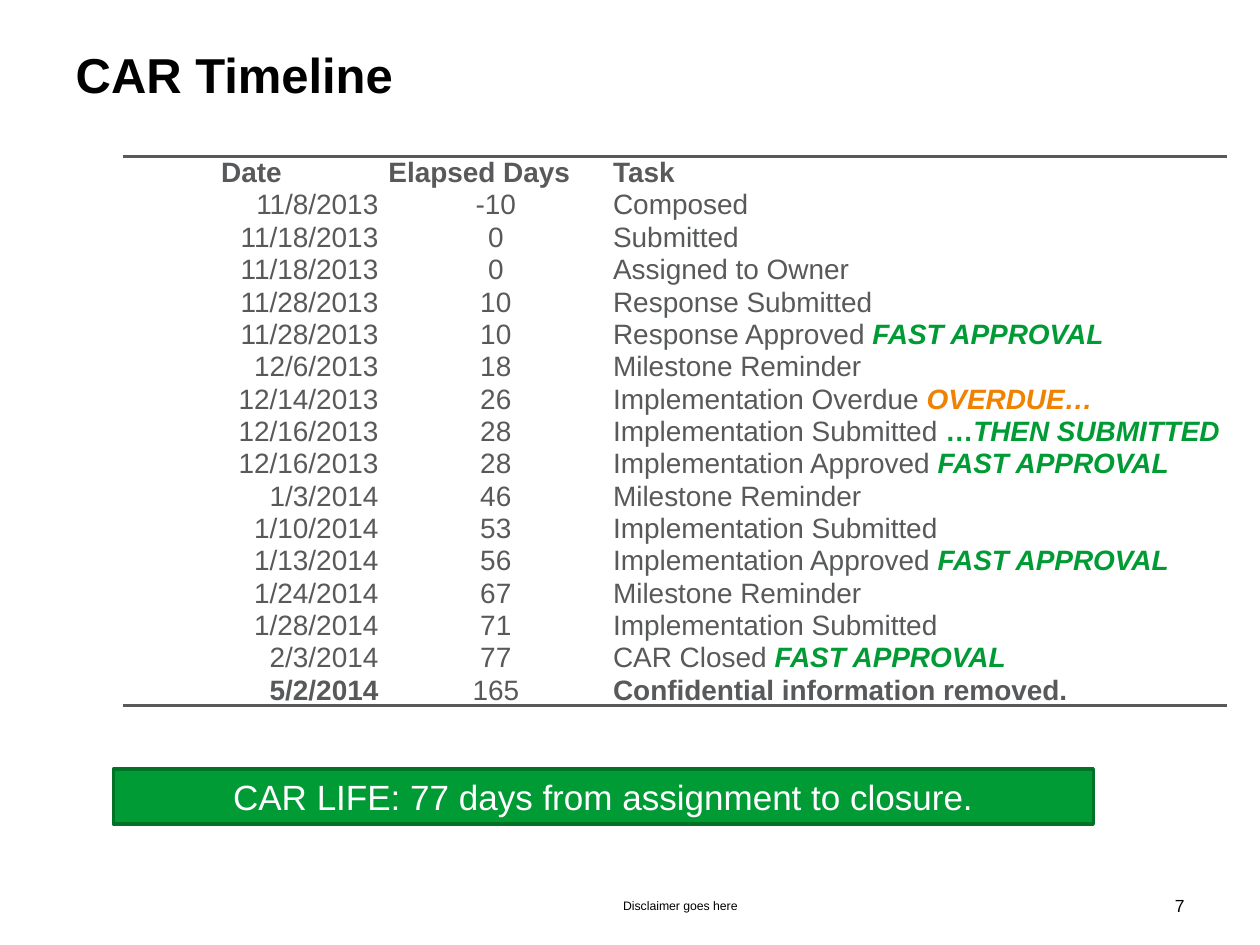
"""Build the CAR timeline slide."""
from dataclasses import dataclass

from lxml import etree
from pptx import Presentation, util as u
from pptx.dml import color as c
from pptx.enum import shapes, text as t
from pptx.oxml import ns


@dataclass(frozen=True)
class Theme:
    font: str = "Arial"
    black: str = "000000"
    white: str = "FFFFFF"
    gray: str = "58595B"
    green: str = "019B35"
    edge: str = "017327"
    orange: str = "EF8200"
    title: int = 28
    banner: int = 20
    body: int = 16
    page: int = 10
    note: int = 7


TH = Theme()
LEFT, MID, RIGHT = t.PP_ALIGN.LEFT, t.PP_ALIGN.CENTER, t.PP_ALIGN.RIGHT
NOSTYLE = "{2D5ABB26-0587-4C30-8999-92F81FD0307C}"
WIDTHS = (146.5, 132.8, 351.4)
FAST = (("FAST APPROVAL", TH.green, True),)
LATE = (("OVERDUE…", TH.orange, True),)
THEN = ((" …", TH.green, False), ("THEN SUBMITTED", TH.green, True))
ROWS = (
    ("11/8/2013", "-10", "Composed", ()),
    ("11/18/2013", "0", "Submitted", ()),
    ("11/18/2013", "0", "Assigned to Owner", ()),
    ("11/28/2013", "10", "Response Submitted", ()),
    ("11/28/2013", "10", "Response Approved ", FAST),
    ("12/6/2013", "18", "Milestone Reminder", ()),
    ("12/14/2013", "26", "Implementation Overdue ", LATE),
    ("12/16/2013", "28", "Implementation Submitted", THEN),
    ("12/16/2013", "28", "Implementation Approved ", FAST),
    ("1/3/2014", "46", "Milestone Reminder", ()),
    ("1/10/2014", "53", "Implementation Submitted", ()),
    ("1/13/2014", "56", "Implementation Approved ", FAST),
    ("1/24/2014", "67", "Milestone Reminder", ()),
    ("1/28/2014", "71", "Implementation Submitted", ()),
    ("2/3/2014", "77", "CAR Closed ", FAST),
    ("5/2/2014", "165", "Confidential information removed.", ()),
)


def rgb(code):
    return c.RGBColor.from_string(code)


def write(para, words, size=TH.body, color=TH.gray, bold=False, italic=False, align=LEFT):
    para.alignment = align
    run = para.add_run()
    run.text = words
    font = run.font
    font.name, font.size = TH.font, u.Pt(size)
    font.bold, font.italic = bold, italic
    font.color.rgb = rgb(color)


def label(slide, box, words, anchor=t.MSO_ANCHOR.MIDDLE, **form):
    frame = slide.shapes.add_textbox(*map(u.Pt, box)).text_frame
    frame.word_wrap = True
    frame.vertical_anchor = anchor
    write(frame.paragraphs[0], words, color=TH.black, **form)


def rule(cell, side):
    line = etree.Element(ns.qn(f"a:{side}"), w=str(u.Pt(2)))
    fill = etree.SubElement(line, ns.qn("a:solidFill"))
    etree.SubElement(fill, ns.qn("a:srgbClr"), val=TH.gray)
    cell._tc.get_or_add_tcPr().insert(0, line)


def style(cell):
    cell.margin_left = cell.margin_right = u.Pt(0.7)
    cell.margin_top, cell.margin_bottom = u.Pt(0.45), 0
    cell.vertical_anchor = t.MSO_ANCHOR.BOTTOM
    cell.fill.solid()
    cell.fill.fore_color.rgb = rgb(TH.white)
    para = cell.text_frame.paragraphs[0]
    para.line_spacing = 0.94
    return para


def timeline(slide):
    high = 15.4
    count = len(ROWS) + 1
    box = (70.4, 89.2, sum(WIDTHS), high * count)
    table = slide.shapes.add_table(count, 3, *map(u.Pt, box)).table
    table.first_row = table.horz_banding = False
    table._tbl.tblPr.find(ns.qn("a:tableStyleId")).text = NOSTYLE
    for col, wide in zip(table.columns, WIDTHS):
        col.width = u.Pt(wide)
    for row in table.rows:
        row.height = u.Pt(high)

    heads = ("Date", " Elapsed Days", "Task")
    for col, (words, align) in enumerate(zip(heads, (MID, LEFT, LEFT))):
        cell = table.cell(0, col)
        write(style(cell), words, bold=True, align=align)
        rule(cell, "lnT")

    for row, (*words, notes) in enumerate(ROWS, 1):
        last = row == len(ROWS)
        for col, align in enumerate((RIGHT, MID, LEFT)):
            cell = table.cell(row, col)
            para = style(cell)
            write(para, words[col], bold=last and col != 1, align=align)
            if last:
                rule(cell, "lnB")
        for note, color, italic in notes:
            write(para, note, color=color, bold=True, italic=italic)


def banner(slide, box, words):
    shape = slide.shapes.add_shape(shapes.MSO_SHAPE.RECTANGLE, *map(u.Pt, box))
    shape.shadow.inherit = False
    shape.fill.solid()
    shape.fill.fore_color.rgb = rgb(TH.green)
    shape.line.color.rgb = rgb(TH.edge)
    shape.line.width = u.Pt(2)
    frame = shape.text_frame
    frame.word_wrap = True
    frame.auto_size = t.MSO_AUTO_SIZE.SHAPE_TO_FIT_TEXT
    frame.vertical_anchor = t.MSO_ANCHOR.TOP
    write(frame.paragraphs[0], words, size=TH.banner, color=TH.white, align=MID)


def main():
    deck = Presentation()
    deck.slide_width, deck.slide_height = u.Pt(720), u.Pt(540)
    slide = deck.slides.add_slide(deck.slide_layouts[6])
    label(slide, (349, 503, 228, 28.8), "Disclaimer goes here", size=TH.note)
    label(slide, (36.2, 21.6, 648, 90), "CAR Timeline",
          anchor=t.MSO_ANCHOR.TOP, size=TH.title, bold=True)
    label(slide, (633.6, 503, 50.4, 28.8), "7", size=TH.page, align=RIGHT)
    timeline(slide)
    banner(slide, (64.8, 439.4, 560, 31.5),
           "CAR LIFE: 77 days from assignment to closure.")
    deck.save("out.pptx")


if __name__ == "__main__":
    main()
